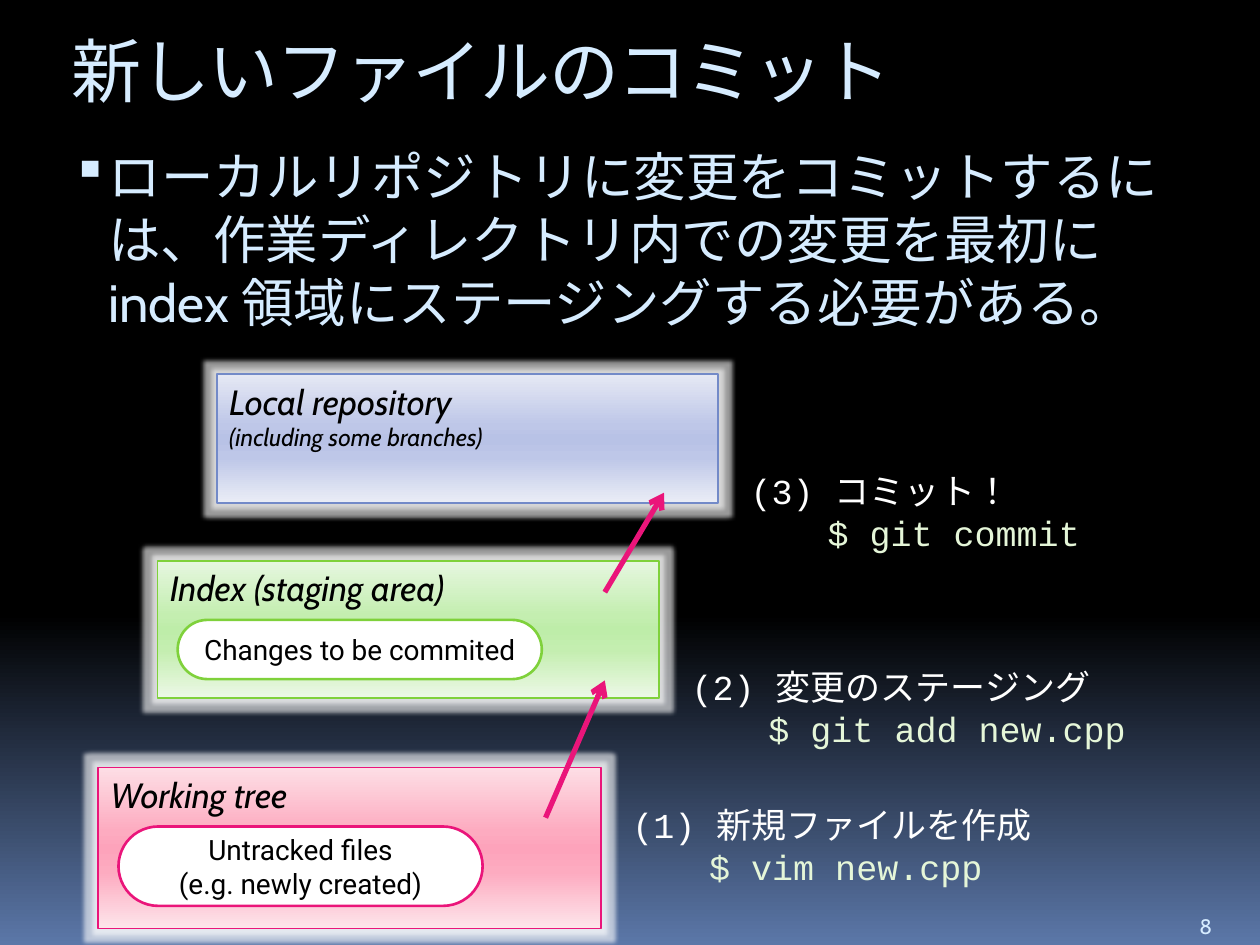
import pptx
import pptx.dml.color
import pptx.enum.lang
import pptx.enum.shapes
import pptx.enum.text
import pptx.oxml
import pptx.oxml.ns
import pptx.util
from pptx.util import Inches

RGB = pptx.dml.color.RGBColor
SHAPE = pptx.enum.shapes.MSO_SHAPE
ALIGN = pptx.enum.text.PP_ALIGN
ANCHOR = pptx.enum.text.MSO_ANCHOR
qn = pptx.oxml.ns.qn

BLACK = RGB(0x00, 0x00, 0x00)
WHITE = RGB(0xFF, 0xFF, 0xFF)
SLATE = RGB(0x5B, 0x77, 0xA8)
SKY = RGB(0xD6, 0xEC, 0xFF)
PINK = RGB(0xEA, 0x15, 0x7A)
GREEN = RGB(0x7F, 0xD1, 0x3B)
BLUE = RGB(0x73, 0x8A, 0xC8)
MINT = RGB(0xE5, 0xF6, 0xD8)
PINKS = [RGB.from_string(c) for c in ("FDDEE5", "FDABC0", "FDA3BB", "FDABC0", "FDE5EB")]
GREENS = [RGB.from_string(c) for c in ("E6F7E0", "C4EEB0", "BEEDA9", "C4EEB0", "ECF8E6")]
BLUES = [RGB.from_string(c) for c in ("E5E8F4", "BEC7E8", "B8C2E6", "BEC7E8", "EAEDF6")]
PANEL_STOPS = (0, 40, 50, 65, 100)

TITLE = dict(name="DejaVu Sans Mono", size=40, color=SKY)
BODY = dict(name="Cabin", size=30, color=SKY)
NUMBER = dict(name="Cabin", size=12, color=SKY)
PANEL = dict(name="Cabin", size=20, color=BLACK, italic=True)
PANEL_NOTE = dict(PANEL, size=14)
PILL = dict(name="Roboto", size=16, color=BLACK)
STEP = dict(name="Courier New", size=20, color=WHITE)
COMMAND = dict(STEP, color=MINT)


def xml(text):
    ns = pptx.oxml.ns.nsdecls("a")
    return pptx.oxml.parse_xml(text.replace(">", f" {ns}>", 1))


def add_text(tf, lines, align=ALIGN.LEFT, anchor=ANCHOR.TOP):
    """Fill a text frame with one paragraph for each (text, format) pair."""
    tf.word_wrap = True
    tf.vertical_anchor = anchor
    for i, (text, fmt) in enumerate(lines):
        p = tf.paragraphs[0] if i == 0 else tf.add_paragraph()
        p.alignment = align
        r = p.add_run()
        r.text = text
        r.font.language_id = pptx.enum.lang.MSO_LANGUAGE_ID.JAPANESE
        for key, value in fmt.items():
            if key == "color":
                r.font.color.rgb = value
            else:
                setattr(r.font, key, pptx.util.Pt(value) if key == "size" else value)
    return tf.paragraphs


def add_box(slide, at, lines, **layout):
    box = slide.shapes.add_textbox(*map(Inches, at))
    return add_text(box.text_frame, lines, **layout)


def set_gradient(fill, element, stops):
    """Run a gradient from top to bottom through (percent, colour) stops."""
    fill.gradient()
    fill.gradient_angle = 270
    gs_list = element.find(".//" + qn("a:gsLst"))
    gs_list[:] = [
        xml(f'<a:gs><a:srgbClr val="{color}"/></a:gs>') for _, color in stops
    ]
    for gs, (percent, _) in zip(gs_list, stops):
        gs.set("pos", str(percent * 1000))


def add_shape(slide, kind, at, line_color, line_width):
    sp = slide.shapes.add_shape(kind, *map(Inches, at))
    sp.shadow.inherit = False
    sp.line.color.rgb = line_color
    sp.line.width = pptx.util.Pt(line_width)
    return sp


def add_panel(slide, at, color, shades, lines):
    """Add a glowing rectangle that stands for one storage area."""
    sp = add_shape(slide, SHAPE.RECTANGLE, at, color, 0.94)
    set_gradient(sp.fill, sp._element, list(zip(PANEL_STOPS, shades)))
    sp._element.spPr.find(qn("a:effectLst")).append(
        xml('<a:glow><a:srgbClr val="FFFFFF"><a:alpha val="60000"/></a:srgbClr></a:glow>'))
    sp._element.find(".//" + qn("a:glow")).set("rad", str(Inches(0.07)))
    add_text(sp.text_frame, lines)


def add_pill(slide, at, color, texts):
    sp = add_shape(slide, SHAPE.ROUNDED_RECTANGLE, at, color, 1.5)
    sp.adjustments[0] = 0.5
    sp.fill.solid()
    sp.fill.fore_color.rgb = WHITE
    add_text(sp.text_frame, [(t, PILL) for t in texts], ALIGN.CENTER, ANCHOR.MIDDLE)


def add_arrow(slide, start, end):
    line = slide.shapes.add_connector(
        pptx.enum.shapes.MSO_CONNECTOR.STRAIGHT, *map(Inches, start + end))
    line.line.color.rgb = PINK
    line.line.width = pptx.util.Pt(3)
    line.line._get_or_add_ln().append(xml('<a:tailEnd type="arrow"></a:tailEnd>'))
    line._element.spPr.append(xml("<a:effectLst></a:effectLst>"))


def add_step(slide, at, label, command):
    paragraphs = add_box(slide, at, [(label, STEP), (command, COMMAND)])
    paragraphs[1]._p.get_or_add_pPr().set("marL", str(Inches(0.61)))


def add_title(slide, text):
    title = slide.shapes.title
    title.left, title.top, title.width, title.height = map(Inches, (0.47, 0.16, 9.03, 0.78))
    p = add_text(title.text_frame, [(text, TITLE)], anchor=ANCHOR.MIDDLE)[0]
    p.runs[0].font._element.set("spc", "-100")


def add_bullet(slide, at, text):
    p = add_box(slide, at, [(text, BODY)])[0]
    pPr = p._p.get_or_add_pPr()
    pPr.set("marL", str(Inches(0.29)))
    pPr.set("indent", str(-Inches(0.29)))
    for part in (f'<a:buClr><a:srgbClr val="{SKY}"/></a:buClr>',
                 '<a:buSzPct val="95000"></a:buSzPct>',
                 '<a:buChar char="▪"></a:buChar>'):
        pPr.append(xml(part))


def main():
    prs = pptx.Presentation()
    prs.slide_width, prs.slide_height = Inches(10), Inches(7.5)
    slide = prs.slides.add_slide(prs.slide_layouts[5])
    set_gradient(slide.background.fill, slide._element,
                 [(0, BLACK), (65, BLACK), (100, SLATE)])

    add_title(slide, "新しいファイルのコミット")
    add_bullet(slide, (0.47, 1.09, 9.03, 2.11),
               "ローカルリポジトリに変更をコミットするには、作業ディレクトリ内での変更を最初に "
               "index 領域にステージングする必要がある。")
    add_box(slide, (9.42, 7.1, 0.5, 0.4), [("8", NUMBER)], anchor=ANCHOR.BOTTOM)

    add_panel(slide, (0.78, 6.09, 3.99, 1.28), PINK, PINKS, [("Working tree", PANEL)])
    add_panel(slide, (1.25, 4.45, 3.98, 1.09), GREEN, GREENS,
              [("Index (staging area)", PANEL)])
    add_panel(slide, (1.72, 2.97, 3.98, 1.02), BLUE, BLUES,
              [("Local repository", PANEL), ("(including some branches)", PANEL_NOTE)])

    add_pill(slide, (0.94, 6.56, 2.89, 0.63), PINK,
             ["Untracked files", "(e.g. newly created)"])
    add_pill(slide, (1.41, 4.92, 2.89, 0.47), GREEN, ["Changes to be commited"])

    add_arrow(slide, (4.33, 6.49), (4.8, 5.4))
    add_arrow(slide, (4.8, 4.7), (5.27, 3.91))

    add_step(slide, (4.92, 6.33, 4.06, 0.77), "(1) 新規ファイルを作成", "$ vim new.cpp")
    add_step(slide, (5.39, 5.23, 4.61, 0.77), "(2) 変更のステージング", "$ git add new.cpp")
    add_step(slide, (5.86, 3.68, 3.13, 0.77), "(3) コミット！", "$ git commit")

    prs.save("out.pptx")


if __name__ == "__main__":
    main()
